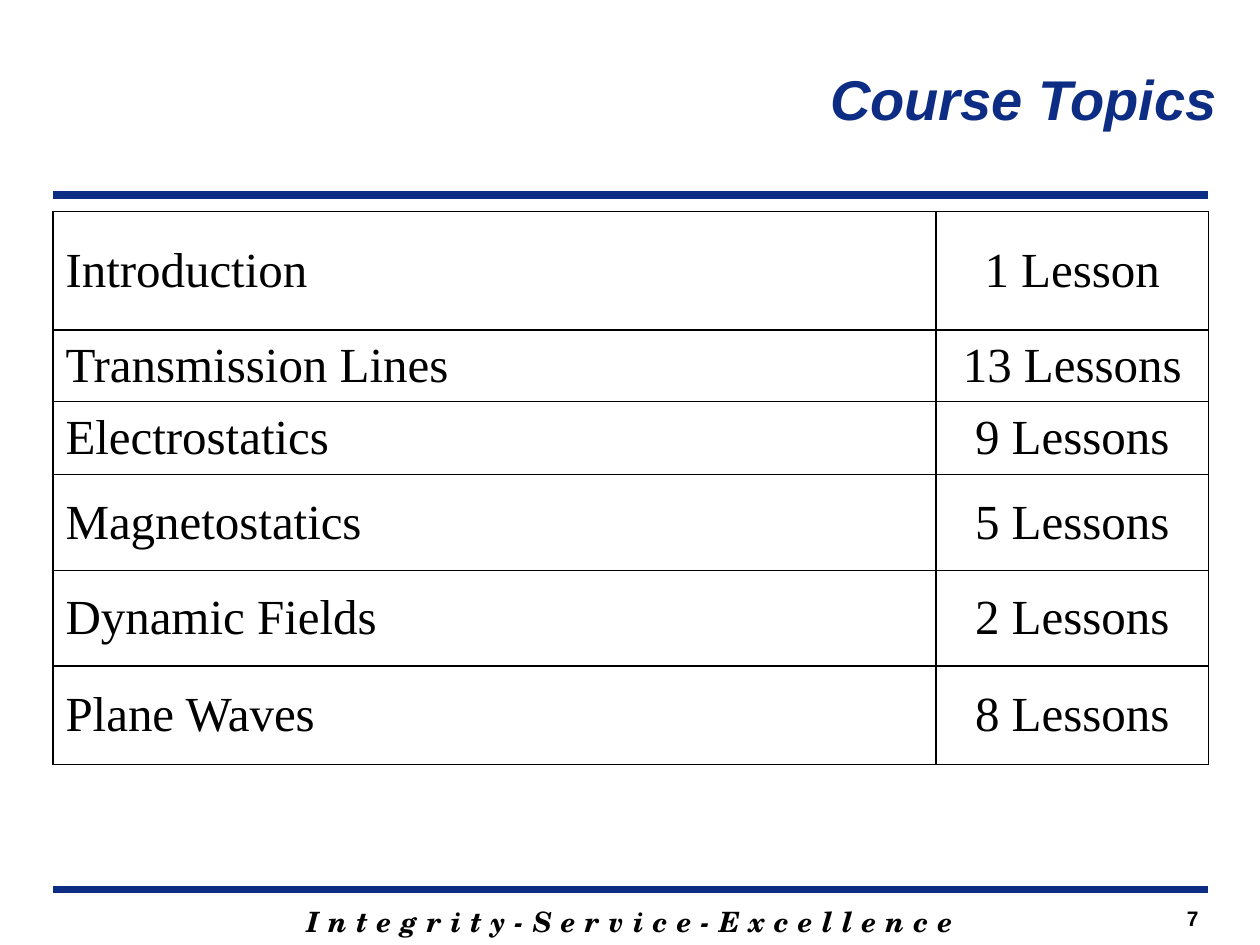
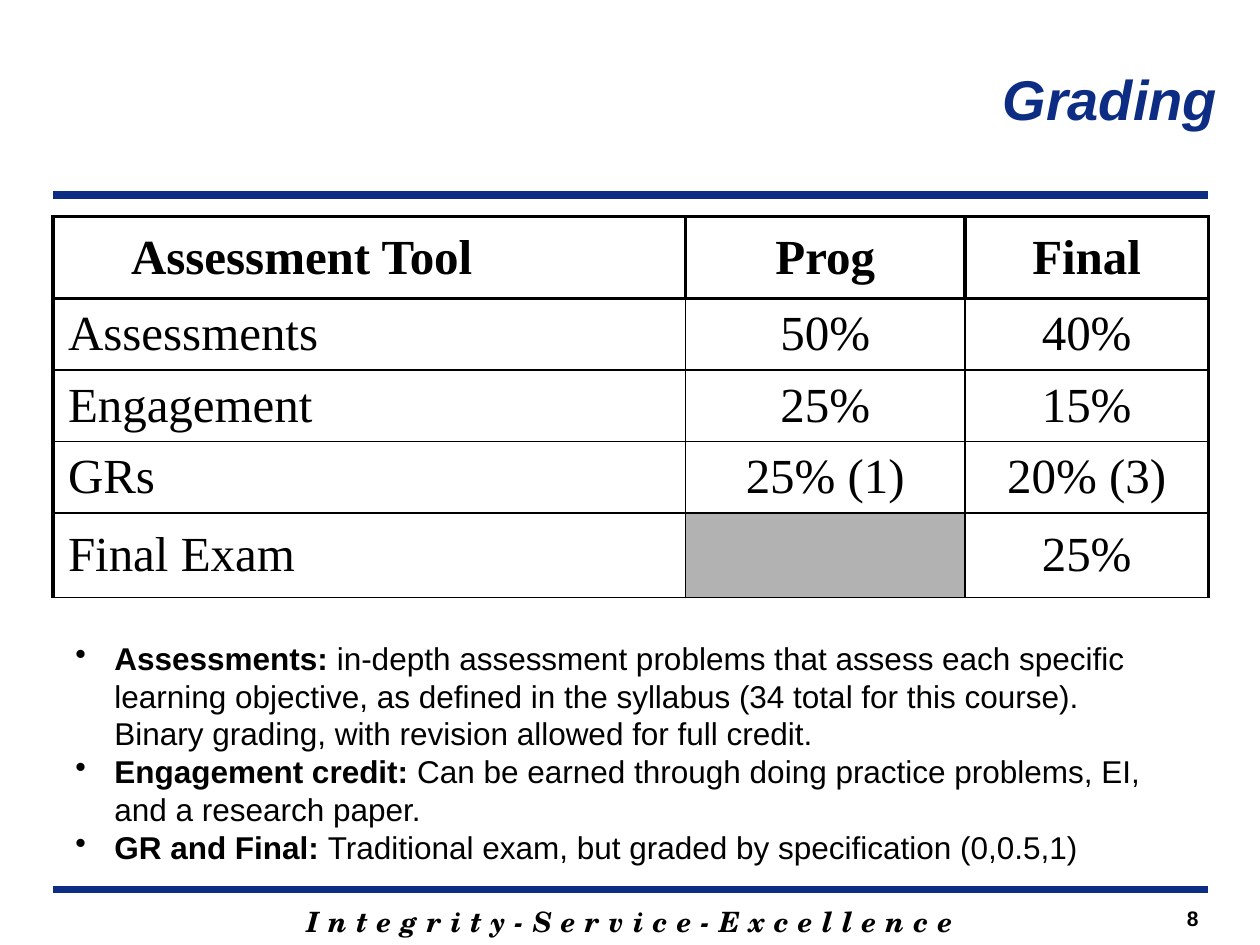
"""Build the course topics and grading slides."""
from dataclasses import dataclass

from lxml import etree
from pptx import Presentation
from pptx.dml.color import RGBColor
from pptx.enum.shapes import MSO_CONNECTOR
from pptx.enum.text import MSO_ANCHOR, PP_ALIGN
from pptx.oxml.ns import qn
from pptx.util import Inches, Pt

LEFT, MID, RIGHT = PP_ALIGN.LEFT, PP_ALIGN.CENTER, PP_ALIGN.RIGHT
TOP, MIDDLE = MSO_ANCHOR.TOP, MSO_ANCHOR.MIDDLE
STRAIGHT = MSO_CONNECTOR.STRAIGHT


@dataclass(frozen=True)
class Theme:
    navy: RGBColor = RGBColor(0x0C, 0x2D, 0x83)
    black: RGBColor = RGBColor(0, 0, 0)
    grey: RGBColor = RGBColor(0xB2, 0xB2, 0xB2)
    sans: str = "Arial"
    serif: str = "Times New Roman"
    school: str = "TeX Gyre Schola"
    title: int = 32
    cell: int = 28
    note: int = 18
    motto: int = 16
    page: int = 12
    rule: float = 4.5
    thick: float = 2.25
    thin: float = 1


theme = Theme()

slides = [
    dict(
        title="Course Topics", page="7", top=1.68, inset=0.1, head=False,
        cols=[7.01, 2.16], rows=[0.94, 0.54, 0.58, 0.76, 0.76, 0.78],
        cells=[
            ["Introduction", "1 Lesson"],
            ["Transmission Lines", "13 Lessons"],
            ["Electrostatics", "9 Lessons"],
            ["Magnetostatics", "5 Lessons"],
            ["Dynamic Fields", "2 Lessons"],
            ["Plane Waves", "8 Lessons"],
        ],
        notes=[],
    ),
    dict(
        title="Grading", page="8", top=1.72, inset=0.12, head=True,
        cols=[5.02, 2.22, 1.93], rows=[0.65, 0.53, 0.53, 0.53, 0.67],
        cells=[
            ["Assessment Tool", "Prog", "Final"],
            ["Assessments", "50%", "40%"],
            ["Engagement", "25%", "15%"],
            ["GRs", "25% (1)", "20% (3)"],
            ["Final Exam", "", "25%"],
        ],
        notes=[
            ("Assessments: ", "in-depth assessment problems that assess each "
             "specific learning objective, as defined in the syllabus (34 total "
             "for this course). Binary grading, with revision allowed for full "
             "credit."),
            ("Engagement credit: ", "Can be earned through doing practice "
             "problems, EI, and a research paper."),
            ("GR and Final: ", "Traditional exam, but graded by specification "
             "(0,0.5,1)"),
        ],
    ),
]


def style(para, face, size, bold=None, slant=None, color=theme.black, align=LEFT):
    para.alignment = align
    font = para.font
    font.name, font.size = face, Pt(size)
    font.bold, font.italic = bold, slant
    font.color.rgb = color


def frame(slide, place, text="", anchor=TOP):
    box = slide.shapes.add_textbox(*map(Inches, place)).text_frame
    box.word_wrap = True
    box.vertical_anchor = anchor
    box.text = text
    return box


deck = Presentation()
deck.slide_width, deck.slide_height = Inches(10), Inches(7.5)

for data in slides:
    slide = deck.slides.add_slide(deck.slide_layouts[6])

    for y in (7.06, 1.55):
        rule = slide.shapes.add_connector(
            STRAIGHT, Inches(0.42), Inches(y), Inches(9.59), Inches(y))
        rule.line.color.rgb = theme.navy
        rule.line.width = Pt(theme.rule)
        etree.SubElement(rule._element.spPr, qn("a:effectLst"))

    motto = frame(slide, (1.42, 7.13, 7.17, 0.37),
                  "I n t e g r i t y - S e r v i c e - E x c e l l e n c e").paragraphs[0]
    style(motto, theme.school, theme.motto, True, True, align=MID)
    motto.runs[0].font._element.set("spc", "33")

    title = frame(slide, (2.04, 0.15, 7.72, 1.25), data["title"], MIDDLE)
    style(title.paragraphs[0], theme.sans, theme.title, True, True, theme.navy, RIGHT)
    page = frame(slide, (8.02, 7.14, 1.59, 0.36), data["page"])
    style(page.paragraphs[0], theme.sans, theme.page, True, align=RIGHT)

    cols, rows = data["cols"], data["rows"]
    table = slide.shapes.add_table(
        len(rows), len(cols), Inches(0.42), Inches(data["top"]),
        Inches(sum(cols)), Inches(sum(rows))).table
    table.first_row = table.horz_banding = False
    for col, width in zip(table.columns, cols):
        col.width = Inches(width)
    for row, height in zip(table.rows, rows):
        row.height = Inches(height)

    for r, line in enumerate(data["cells"]):
        for c, text in enumerate(line):
            cell = table.cell(r, c)
            cell.text = text
            cell.vertical_anchor = MIDDLE
            cell.margin_left = cell.margin_right = Inches(data["inset"])
            head = data["head"] and r == 0
            para = cell.text_frame.paragraphs[0]
            if head and c == 0:
                para._p.get_or_add_pPr().set("marL", str(Inches(0.5)))
            style(para, theme.serif, theme.cell, head, align=MID if c else LEFT)
            if text:
                cell.fill.background()
            else:
                cell.fill.solid()
                cell.fill.fore_color.rgb = theme.grey

            heavy = dict(
                lnL=head or c == 0, lnR=head or c == len(cols) - 1,
                lnT=r < 2, lnB=head)
            props = cell._tc.get_or_add_tcPr()
            for i, (side, wide) in enumerate(heavy.items()):
                width = theme.thick if data["head"] and wide else theme.thin
                edge = etree.Element(qn(f"a:{side}"), w=str(Pt(width)))
                fill = etree.SubElement(edge, qn("a:solidFill"))
                etree.SubElement(fill, qn("a:srgbClr"), val=str(theme.black))
                props.insert(i, edge)

    if data["notes"]:
        notes = frame(slide, (0.5, 5.02, 8.76, 1.92))
        for i, (term, text) in enumerate(data["notes"]):
            para = notes.add_paragraph() if i else notes.paragraphs[0]
            props = para._p.get_or_add_pPr()
            props.set("marL", str(Inches(0.31)))
            props.set("indent", str(Inches(-0.31)))
            etree.SubElement(props, qn("a:buChar"), char="•")
            style(para, theme.sans, theme.note)
            for part, bold in ((term, True), (text, False)):
                run = para.add_run()
                run.text = part
                run.font.bold = bold

deck.save("out.pptx")
